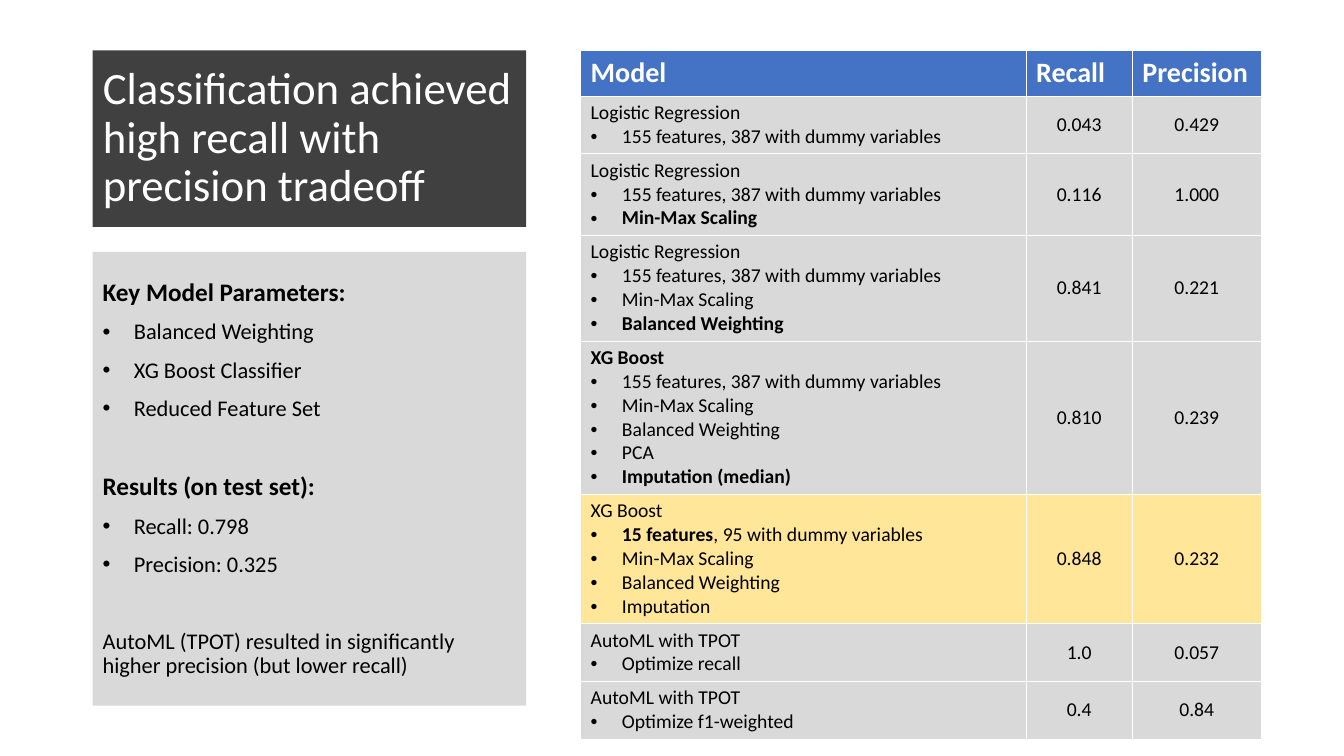
from lxml import etree
from pptx import Presentation
from pptx.dml.color import RGBColor
from pptx.enum.shapes import MSO_SHAPE
from pptx.enum.text import MSO_ANCHOR, MSO_AUTO_SIZE, PP_ALIGN
from pptx.oxml.ns import qn
from pptx.util import Inches, Pt

RECTANGLE = MSO_SHAPE.RECTANGLE
TOP, MIDDLE = MSO_ANCHOR.TOP, MSO_ANCHOR.MIDDLE
LEFT, CENTER = PP_ALIGN.LEFT, PP_ALIGN.CENTER
NO_AUTOFIT = MSO_AUTO_SIZE.NONE

# Slide grid: percent of the width, and fifteen rows of the height
SLIDE_WIDTH, SLIDE_HEIGHT = Inches(13.33), Inches(7.5)
GRID_ROWS = 15
LEFT_COLUMN, LEFT_WIDTH = 6.9, 32.25
TABLE_LEFT, TABLE_COLUMNS = 43.2, (33.15, 7.9, 9.6)
TOP_ROW = 1

FONT = "Calibri"
BLACK, WHITE, DARK = "000000", "FFFFFF", "404040"
GRAY, BLUE, YELLOW = "D9D9D9", "4472C4", "FFE699"
BULLET_INDENT = Inches(0.31)
CELL_PADDING, LINE_HEIGHT = Inches(0.1), Pt(17)

TITLE = "Classification achieved high recall with precision tradeoff"

# Each section: heading, bullets
KEY_SECTIONS = [
    ("Key Model Parameters:",
     ["Balanced Weighting", "XG Boost Classifier", "Reduced Feature Set"]),
    ("Results (on test set):", ["Recall: 0.798", "Precision: 0.325"]),
]
CONCLUSION = ("AutoML (TPOT) resulted in significantly higher precision "
              "(but lower recall)")

# Each model: name, settings, recall, precision; ** marks bold text
HEADERS = ["Model", "Recall", "Precision"]
FEATURES = "155 features, 387 with dummy variables"
SCALING, WEIGHTING = "Min-Max Scaling", "Balanced Weighting"
MODELS = [
    ("Logistic Regression", [FEATURES], "0.043", "0.429"),
    ("Logistic Regression", [FEATURES, f"**{SCALING}**"], "0.116", "1.000"),
    ("Logistic Regression", [FEATURES, SCALING, f"**{WEIGHTING}**"],
     "0.841", "0.221"),
    ("**XG Boost**",
     [FEATURES, SCALING, WEIGHTING, "PCA", "**Imputation (median)**"],
     "0.810", "0.239"),
    ("XG Boost",
     ["**15 features**, 95 with dummy variables", SCALING, WEIGHTING,
      "Imputation"], "0.848", "0.232"),
    ("AutoML with TPOT", ["Optimize recall"], "1.0", "0.057"),
    ("AutoML with TPOT", ["Optimize f1-weighted"], "0.4", "0.84"),
]
BEST_MODEL = 4


def color(value):
    return RGBColor.from_string(value)


def across(percent):
    return round(SLIDE_WIDTH * percent / 100)


def down(rows):
    return round(SLIDE_HEIGHT * rows / GRID_ROWS)


def fill_solid(target, value):
    target.fill.solid()
    target.fill.fore_color.rgb = color(value)


def add_bullet(paragraph):
    properties = paragraph._p.get_or_add_pPr()
    properties.set("marL", str(BULLET_INDENT))
    properties.set("indent", str(-BULLET_INDENT))
    etree.SubElement(properties, qn("a:buFont")).set("typeface", "Arial")
    etree.SubElement(properties, qn("a:buChar")).set("char", "•")


def write(frame, text, size=14, value=BLACK, align=LEFT, bullet=False,
          spacing=None, before=None):
    """Write one paragraph, using the empty first one if it is free."""
    first = frame.paragraphs[0]
    paragraph = frame.add_paragraph() if first.runs else first
    paragraph.alignment = align
    if spacing is not None:
        paragraph.line_spacing = spacing
    if before is not None:
        paragraph.space_before = Pt(before)
    if bullet:
        add_bullet(paragraph)
    for index, part in enumerate(text.split("**")):
        if part:
            run = paragraph.add_run()
            run.text = part
            run.font.name = FONT
            run.font.size = Pt(size)
            run.font.bold = index % 2 == 1
            run.font.color.rgb = color(value)


def format_box(shape, row, rows, value):
    shape.left, shape.top = across(LEFT_COLUMN), down(row)
    shape.width, shape.height = across(LEFT_WIDTH), down(rows)
    fill_solid(shape, value)
    frame = shape.text_frame
    frame.word_wrap = True
    frame.auto_size = NO_AUTOFIT
    frame.vertical_anchor = MIDDLE
    return frame


def add_title(slide):
    frame = format_box(slide.shapes.title, TOP_ROW, 3.5, DARK)
    write(frame, TITLE, size=32, value=WHITE, spacing=0.9)


def add_key_panel(slide):
    panel = slide.shapes.add_shape(RECTANGLE, 0, 0, 0, 0)
    panel.shadow.inherit = False
    panel.line.fill.background()
    frame = format_box(panel, 5, 9, GRAY)
    gap, section_gap = 10, 37.5
    for index, (heading, bullets) in enumerate(KEY_SECTIONS):
        write(frame, f"**{heading}**", size=18, spacing=0.9,
              before=section_gap if index else gap)
        for bullet in bullets:
            write(frame, bullet, size=16, bullet=True, spacing=0.9, before=gap)
    write(frame, CONCLUSION, size=16, spacing=0.9, before=section_gap)


def format_cell(cell, value, anchor=TOP):
    cell.vertical_anchor = anchor
    properties = cell._tc.get_or_add_tcPr()
    for side in ("lnL", "lnR", "lnT", "lnB"):
        line = etree.SubElement(properties, qn(f"a:{side}"), w=str(Pt(0.25)))
        solid = etree.SubElement(line, qn("a:solidFill"))
        etree.SubElement(solid, qn("a:srgbClr"), val=WHITE)
    fill_solid(cell, value)
    return cell.text_frame


def add_model_table(slide):
    heights = [Inches(0.45)] + [
        CELL_PADDING + LINE_HEIGHT * (1 + len(settings))
        for _, settings, _, _ in MODELS]
    table = slide.shapes.add_table(
        len(heights), len(HEADERS), across(TABLE_LEFT), down(TOP_ROW),
        across(sum(TABLE_COLUMNS)), sum(heights)).table
    for column, width in zip(table.columns, TABLE_COLUMNS):
        column.width = across(width)
    for row, height in zip(table.rows, heights):
        row.height = height

    # Header row
    for index, header in enumerate(HEADERS):
        frame = format_cell(table.cell(0, index), BLUE)
        write(frame, f"**{header}**", size=20, value=WHITE)

    # One row for each model, the best one highlighted
    for index, (name, settings, *scores) in enumerate(MODELS):
        value = YELLOW if index == BEST_MODEL else GRAY
        frame = format_cell(table.cell(index + 1, 0), value)
        write(frame, name)
        for setting in settings:
            write(frame, setting, bullet=True)
        for column, score in enumerate(scores, 1):
            frame = format_cell(table.cell(index + 1, column), value, MIDDLE)
            write(frame, score, align=CENTER)


def main():
    presentation = Presentation()
    presentation.slide_width = SLIDE_WIDTH
    presentation.slide_height = SLIDE_HEIGHT
    title_only = presentation.slide_layouts[5]
    slide = presentation.slides.add_slide(title_only)
    add_title(slide)
    add_model_table(slide)
    add_key_panel(slide)
    presentation.save("out.pptx")


main()
